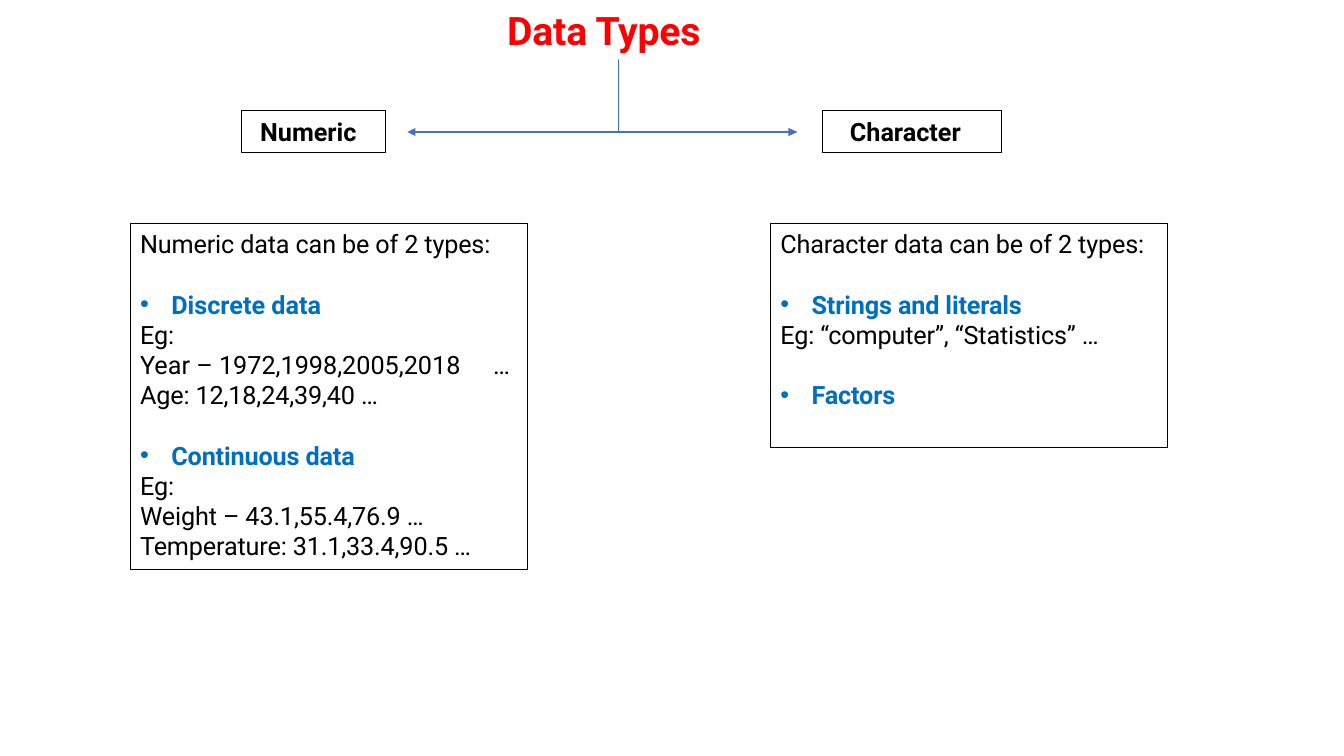
from pptx import Presentation, util as u
from pptx.dml.color import RGBColor
from pptx.enum import shapes, text
from pptx.oxml.ns import qn
from lxml import etree

COLORS = {"title": "FF0000", "ink": "000000", "topic": "006FC0", "arrow": "4471C4"}
FONT = "Roboto"
GAP = 21.5


def write(paragraph, words, size=18, color="ink", bold=False, before=0,
          indent=0.1, bullet=False, tab=None, tracking=-0.1):
    paragraph.alignment = text.PP_ALIGN.LEFT
    paragraph.space_before = u.Pt(before)
    props = paragraph._p.get_or_add_pPr()
    hanging = 0.31 if bullet else 0
    props.set("marL", str(u.Inches(indent + hanging)))
    props.set("indent", str(-u.Inches(hanging)))
    if bullet:
        etree.SubElement(props, qn("a:buFont"), typeface="Arial")
        etree.SubElement(props, qn("a:buChar"), char="•")
    if tab:
        stops = etree.SubElement(props, qn("a:tabLst"))
        etree.SubElement(stops, qn("a:tab"), pos=str(u.Inches(tab)), algn="l")
    run = paragraph.add_run()
    run.text = words
    run.font.name = FONT
    run.font.size = u.Pt(size)
    run.font.bold = bold
    run.font.color.rgb = RGBColor.from_string(COLORS[color])
    run._r.get_or_add_rPr().set("spc", str(round(tracking * 100)))


class DataTypesSlide:
    def __init__(self, deck):
        self.slide = deck.slides.add_slide(deck.slide_layouts[6])

    def fill_frame(self, frame, lines, inset):
        frame.word_wrap = True
        frame.vertical_anchor = text.MSO_ANCHOR.TOP
        frame.margin_left = frame.margin_right = frame.margin_bottom = 0
        frame.margin_top = u.Inches(inset)
        for index, (words, style) in enumerate(lines):
            paragraph = frame.add_paragraph() if index else frame.paragraphs[0]
            write(paragraph, words, **style)

    def title(self, words, *place):
        heading = self.slide.shapes.add_textbox(*map(u.Inches, place))
        style = dict(size=28, color="title", bold=True, before=0.9, indent=0.01)
        self.fill_frame(heading.text_frame, [(words, style)], 0.01)

    def box(self, lines, *place):
        frame = self.slide.shapes.add_shape(
            shapes.MSO_SHAPE.RECTANGLE, *map(u.Inches, place))
        frame.shadow.inherit = False
        frame.fill.background()
        frame.line.color.rgb = RGBColor.from_string(COLORS["ink"])
        frame.line.width = u.Pt(0.72)
        self.fill_frame(frame.text_frame, lines, 0.05)

    def outline(self, points, color):
        start, *rest = [(u.Inches(x), u.Inches(y)) for x, y in points]
        builder = self.slide.shapes.build_freeform(*start)
        builder.add_line_segments(rest, close=True)
        branch = builder.convert_to_shape()
        branch.shadow.inherit = False
        branch.fill.solid()
        branch.fill.fore_color.rgb = RGBColor.from_string(COLORS[color])
        branch.line.fill.background()


def main():
    deck = Presentation()
    deck.slide_width, deck.slide_height = u.Inches(13.33), u.Inches(7.5)
    page = DataTypesSlide(deck)

    intro = dict(before=3.5)
    topic = dict(color="topic", bold=True, bullet=True, before=GAP)
    numeric_details = [
        ("Numeric data can be of 2 types:", intro),
        ("Discrete data", dict(topic, tracking=0)),
        ("Eg:", {}),
        ("Year – 1972,1998,2005,2018\t…", dict(tab=3.46, tracking=0)),
        ("Age: 12,18,24,39,40 …", {}),
        ("Continuous data", topic),
        ("Eg:", {}),
        ("Weight – 43.1,55.4,76.9 …", {}),
        ("Temperature: 31.1,33.4,90.5 …", {}),
    ]
    character_details = [
        ("Character data can be of 2 types:", intro),
        ("Strings and literals", topic),
        ("Eg: “computer”, “Statistics” …", {}),
        ("Factors", topic),
    ]

    page.title("Data Types", 5.02, 0.05, 2.2, 0.49)
    page.box(numeric_details, 1.29, 2.22, 3.94, 3.43)
    page.outline([
        (7.91, 1.31), (7.82, 1.27), (7.82, 1.3), (6.14, 1.3), (6.14, 0.59),
        (6.13, 0.59), (6.13, 1.3), (4.12, 1.3), (4.12, 1.27), (4.04, 1.31),
        (4.12, 1.35), (4.12, 1.32), (7.82, 1.32), (7.82, 1.35),
    ], "arrow")
    for name, indent, left, width in (("Numeric", 0.18, 2.4, 1.42),
                                      ("Character", 0.27, 8.16, 1.77)):
        label = dict(intro, bold=True, indent=indent, tracking=0)
        page.box([(name, label)], left, 1.1, width, 0.41)
    page.box(character_details, 7.64, 2.22, 3.94, 2.22)

    deck.save("out.pptx")


if __name__ == "__main__":
    main()
